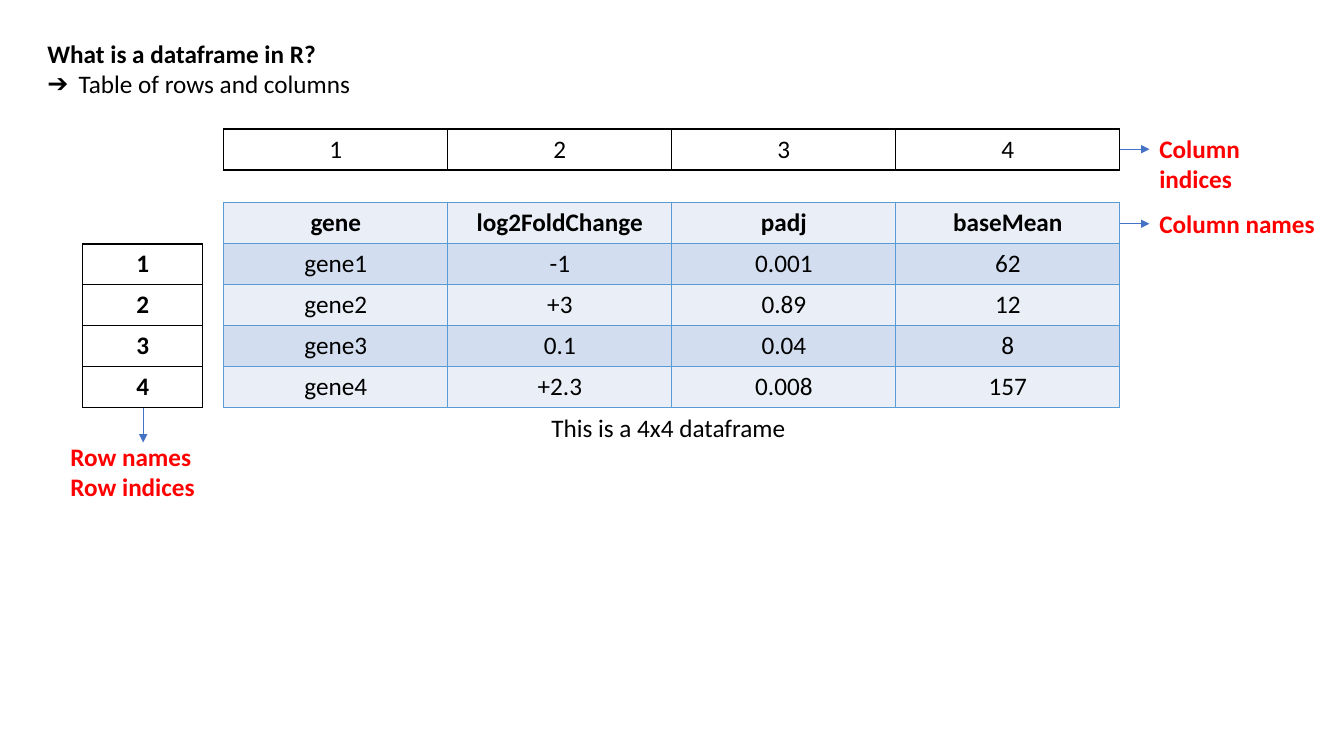
from lxml.etree import SubElement
from pptx import Presentation
from pptx.dml.color import RGBColor
from pptx.enum.shapes import MSO_CONNECTOR
from pptx.enum.text import MSO_ANCHOR, MSO_AUTO_SIZE, PP_ALIGN
from pptx.oxml.ns import qn
from pptx.util import Inches, Pt

BLACK = RGBColor(0x00, 0x00, 0x00)
RED = RGBColor(0xFF, 0x00, 0x00)
ARROW_BLUE = RGBColor(0x44, 0x72, 0xC4)
BORDER_BLUE = RGBColor(0x5B, 0x9B, 0xD5)
BAND_LIGHT = RGBColor(0xEA, 0xEF, 0xF7)
BAND_DARK = RGBColor(0xD2, 0xDE, 0xEF)

ROW_HEIGHT = 0.406
COLUMN_WIDTH = 2.222


def write(frame, lines, color=BLACK, bold=False, align=PP_ALIGN.LEFT):
    frame.text = "\n".join(lines)
    for paragraph in frame.paragraphs:
        paragraph.alignment = align
        paragraph.space_before = Pt(0)
        font = paragraph.font
        for name, value in {"name": "Calibri", "size": Pt(18), "bold": bold}.items():
            setattr(font, name, value)
        font.color.rgb = color


def add_grid(left, top, column_width, rows, border, bands=None, bold_rows=0):
    grid = slide.shapes.add_table(
        len(rows), len(rows[0]), Inches(left), Inches(top),
        Inches(column_width * len(rows[0])), Inches(ROW_HEIGHT * len(rows))).table
    grid.first_row = grid.horz_banding = False
    for r, values in enumerate(rows):
        grid.rows[r].height = Inches(ROW_HEIGHT)
        for c, value in enumerate(values):
            cell = grid.cell(r, c)
            write(cell.text_frame, [value], bold=r < bold_rows, align=PP_ALIGN.CENTER)
            properties = cell._tc.get_or_add_tcPr()
            for side in ("a:lnL", "a:lnR", "a:lnT", "a:lnB"):
                line = SubElement(properties, qn(side), w=str(Pt(1)))
                fill = SubElement(line, qn("a:solidFill"))
                SubElement(fill, qn("a:srgbClr"), val=str(border))
            if bands:
                cell.fill.solid()
                cell.fill.fore_color.rgb = bands[r % len(bands)]
            else:
                cell.fill.background()


prs = Presentation()
prs.slide_width, prs.slide_height = Inches(13.33), Inches(7.5)
slide = prs.slides.add_slide(prs.slide_layouts[1])

# Question and answer
question, answer = slide.shapes.title, slide.placeholders[1]
for holder, top, line, bold in (
        (question, 0.33, "What is a dataframe in R?", True),
        (answer, 0.63, "Table of rows and columns", False)):
    holder.left, holder.top = Inches(0.37), Inches(top)
    holder.width, holder.height = Inches(12.59), Inches(0.4)
    holder.text_frame.vertical_anchor = MSO_ANCHOR.TOP
    holder.text_frame.auto_size = MSO_AUTO_SIZE.NONE
    write(holder.text_frame, [line], bold=bold)
bullet = answer.text_frame.paragraphs[0]._p.get_or_add_pPr()
bullet.set("marL", str(Inches(0.31)))
bullet.set("indent", str(Inches(-0.31)))
SubElement(bullet, qn("a:buChar"), char="➔")

# Dataframe with its column and row indices
dataframe = [
    ["gene", "log2FoldChange", "padj", "baseMean"],
    ["gene1", "-1", "0.001", "62"],
    ["gene2", "+3", "0.89", "12"],
    ["gene3", "0.1", "0.04", "8"],
    ["gene4", "+2.3", "0.008", "157"],
]
indices = ["1", "2", "3", "4"]
add_grid(2.22, 2.01, COLUMN_WIDTH, dataframe, BORDER_BLUE, (BAND_LIGHT, BAND_DARK), 1)
add_grid(0.82, 2.42, 1.19, [[index] for index in indices], BLACK, bold_rows=4)
add_grid(2.22, 1.28, COLUMN_WIDTH, [indices], BLACK)

# Labels and caption
for left, top, width, height, lines, color, bold in (
        (11.4, 1.27, 1.77, 0.41, ["Column indices"], RED, True),
        (11.4, 2.02, 1.77, 0.4, ["Column names"], RED, True),
        (0.6, 4.33, 1.64, 0.71, ["Row names", "Row indices"], RED, True),
        (5.37, 4.04, 6.67, 0.4, ["This is a 4x4 dataframe"], BLACK, False)):
    label = slide.shapes.add_textbox(
        Inches(left), Inches(top), Inches(width), Inches(height)).text_frame
    label.word_wrap = True
    write(label, lines, color, bold)

# Arrows from the tables to their labels
for x1, y1, x2, y2 in ((11.11, 1.48, 11.4, 1.48),
                       (11.11, 2.22, 11.4, 2.22),
                       (1.42, 4.05, 1.42, 4.39)):
    arrow = slide.shapes.add_connector(
        MSO_CONNECTOR.STRAIGHT, Inches(x1), Inches(y1), Inches(x2), Inches(y2))
    arrow.line.color.rgb = ARROW_BLUE
    arrow.line.width = Pt(0.5)
    SubElement(arrow.line._get_or_add_ln(), qn("a:tailEnd"), type="triangle")
    SubElement(arrow._element.spPr, qn("a:effectLst"))

prs.save("out.pptx")
